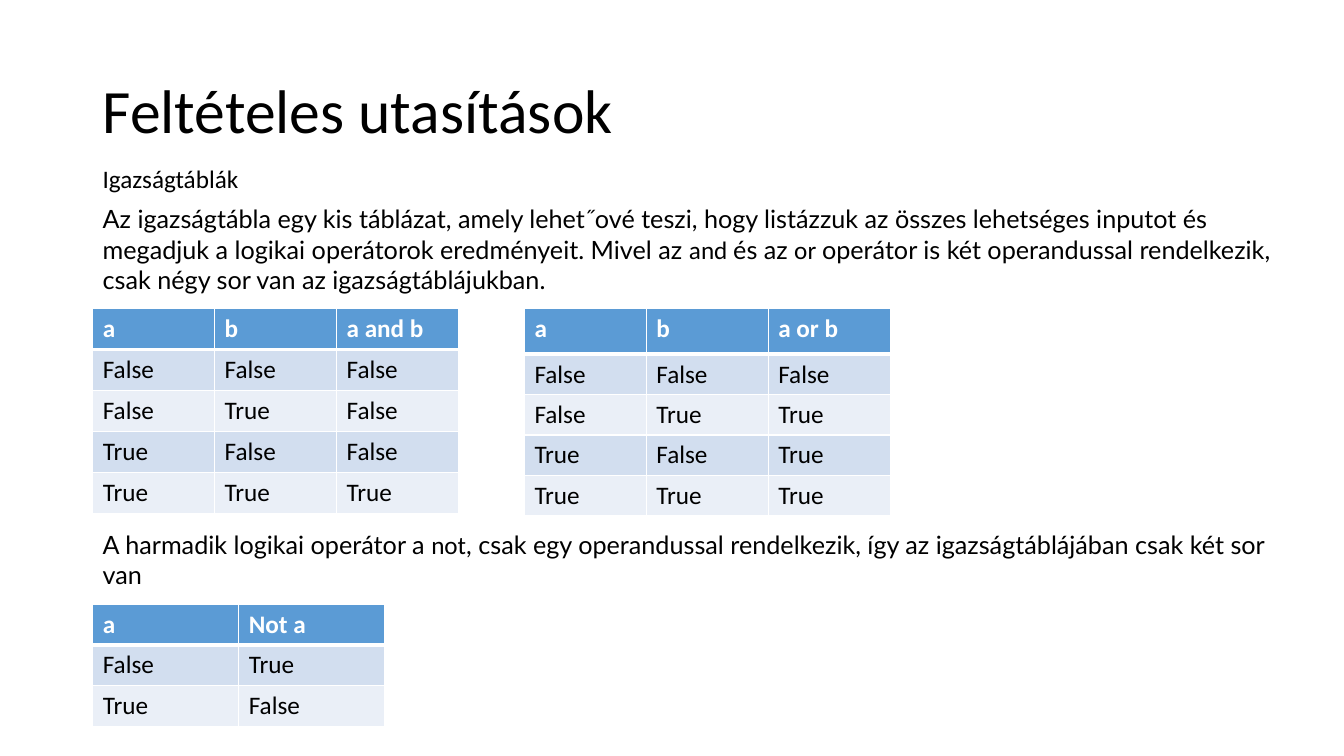
from lxml.etree import SubElement
from pptx import Presentation
from pptx.dml.color import RGBColor
from pptx.enum.text import MSO_ANCHOR, PP_ALIGN
from pptx.oxml.ns import qn
from pptx.util import Pt

BLACK = RGBColor(0x00, 0x00, 0x00)
WHITE = RGBColor(0xFF, 0xFF, 0xFF)
HEADER_BLUE = RGBColor(0x5B, 0x9B, 0xD5)
BAND_BLUE = RGBColor(0xD2, 0xDE, 0xEF)
PALE_BLUE = RGBColor(0xEA, 0xEF, 0xF7)

LEFT = 66.24
TEXT_WIDTH = 855.4
TABLES_TOP = 220.4
ROW_HEIGHT = 29.26
BODY_SIZE = 18

INPUTS = [("False", "False"), ("False", "True"), ("True", "False"), ("True", "True")]
AND_RESULTS = ["False", "False", "False", "True"]
OR_RESULTS = ["False", "True", "True", "True"]

DEFINITION = [
    ("Az igazságtábla egy kis táblázat, amely lehet˝ové teszi, hogy listázzuk az "
     "összes lehetséges inputot és megadjuk a logikai operátorok eredményeit. "
     "Mivel az ", "Lato"),
    ("and ", "Calibri"),
    ("és az ", "Lato"),
    ("or ", "Calibri"),
    ("operátor is két operandussal rendelkezik, csak négy sor van az "
     "igazságtáblájukban.", "Lato"),
]
NOT_SENTENCE = [
    ("A harmadik logikai operátor a ", "Lato"),
    ("not", "Calibri"),
    (", csak egy operandussal rendelkezik, így az igazságtáblájában csak két sor van",
     "Lato"),
]


def style_font(font, color=BLACK, size=BODY_SIZE, face="Calibri", bold=False):
    """Set face, size, weight and colour of a font."""
    font.name = face
    font.size = Pt(size)
    font.bold = bold
    font.color.rgb = color


def add_heading(slide, left, top, width, height, words):
    """Place the slide title in the given box."""
    heading = slide.shapes.title
    heading.left, heading.top = Pt(left), Pt(top)
    heading.width, heading.height = Pt(width), Pt(height)
    frame = heading.text_frame
    frame.text = words
    frame.vertical_anchor = MSO_ANCHOR.MIDDLE
    line = frame.paragraphs[0]
    line.alignment = PP_ALIGN.LEFT
    line.line_spacing = 0.9
    style_font(line.runs[0].font, size=44)


def add_paragraph(slide, left, top, width, height, phrases):
    """Place one wrapped paragraph made of (words, face) phrases."""
    frame = slide.shapes.add_textbox(Pt(left), Pt(top), Pt(width), Pt(height)).text_frame
    frame.word_wrap = True
    for words, face in phrases:
        phrase = frame.paragraphs[0].add_run()
        phrase.text = words
        style_font(phrase.font, face=face)


def add_borders(cell, top, bottom):
    """Draw white borders around a cell, with the given top and bottom weights."""
    properties = cell._tc.get_or_add_tcPr()
    for side, weight in (("L", 1), ("R", 1), ("T", top), ("B", bottom)):
        border = SubElement(properties, qn(f"a:ln{side}"), w=str(Pt(weight)))
        SubElement(SubElement(border, qn("a:solidFill")), qn("a:srgbClr"), val=str(WHITE))


def add_truth_table(slide, left, top, column_width, row_heights, rows):
    """Place a truth table whose first row is the header."""
    columns = len(rows[0])
    table = slide.shapes.add_table(
        len(rows), columns, Pt(left), Pt(top),
        Pt(column_width * columns), Pt(sum(row_heights))).table
    for column in table.columns:
        column.width = Pt(column_width)
    for r, (values, height) in enumerate(zip(rows, row_heights)):
        header = r == 0
        table.rows[r].height = Pt(height)
        fill = HEADER_BLUE if header else (PALE_BLUE, BAND_BLUE)[r % 2]
        for c, value in enumerate(values):
            cell = table.cell(r, c)
            add_borders(cell, top=3 if r == 1 else 1, bottom=3 if header else 1)
            cell.fill.solid()
            cell.fill.fore_color.rgb = fill
            cell.text = value
            style_font(cell.text_frame.paragraphs[0].runs[0].font,
                       WHITE if header else BLACK, bold=header)


def operator_rows(name, results):
    """Return the rows of the truth table of a two-operand operator."""
    return [("a", "b", f"a {name} b")] + [
        (*pair, result) for pair, result in zip(INPUTS, results)]


def build_truth_table_slide(deck):
    """Build the slide on truth tables."""
    slide = deck.slides.add_slide(deck.slide_layouts[5])
    add_heading(slide, LEFT, 28.8, 828, 104.4, "Feltételes utasítások")
    add_paragraph(slide, LEFT, 113, TEXT_WIDTH, 29, [("Igazságtáblák", "Calibri")])
    add_paragraph(slide, LEFT, 142, TEXT_WIDTH, 72.7, DEFINITION)
    add_truth_table(slide, LEFT, TABLES_TOP, 87.1, [ROW_HEIGHT] * 5,
                    operator_rows("and", AND_RESULTS))
    add_truth_table(slide, 374.6, TABLES_TOP, 87.1, [32.6] + [28.8] * 4,
                    operator_rows("or", OR_RESULTS))
    add_truth_table(slide, LEFT, 431.4, 104.3, [ROW_HEIGHT] * 3,
                    [("a", "Not a"), ("False", "True"), ("True", "False")])
    add_paragraph(slide, LEFT, 374.4, 847.4, 51, NOT_SENTENCE)


def main():
    """Create and save the presentation."""
    deck = Presentation()
    deck.slide_width, deck.slide_height = Pt(960), Pt(540)
    build_truth_table_slide(deck)
    deck.save("out.pptx")


if __name__ == "__main__":
    main()
